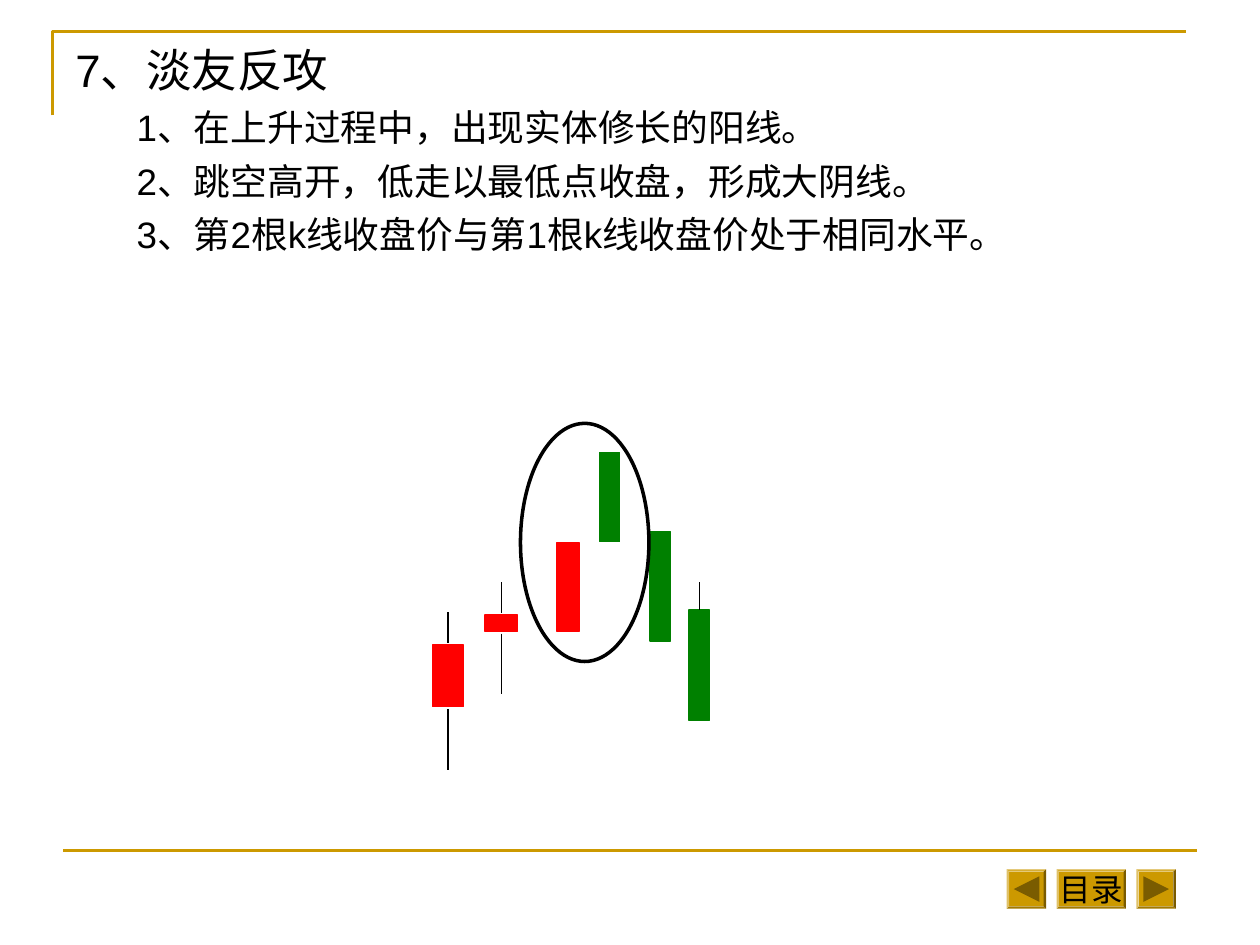
from pptx import Presentation
from pptx.dml.color import RGBColor
from pptx.enum.shapes import MSO_CONNECTOR, MSO_SHAPE as Shape
from pptx.enum.text import MSO_ANCHOR as Anchor, PP_ALIGN as Align
from pptx.oxml.ns import qn
from pptx.util import Pt

COLORS = {"gold": "CC9900", "dark_gold": "7A5C00", "black": "000000",
          "red": "FF0000", "green": "008000"}
FONT = "Arial"
TITLE = "7、淡友反攻"
ITEMS = ["1、在上升过程中，出现实体修长的阳线。",
         "2、跳空高开，低走以最低点收盘，形成大阴线。",
         "3、第2根k线收盘价与第1根k线收盘价处于相同水平。"]
WICK_GAP = 1.3
# left, top, width, height of the body, colour, high, low
CANDLES = [
    (247, 368.6, 18, 35.3, "red", 349.9, 439.9),
    (277.2, 351.4, 18.7, 9.4, "red", 332.6, 396.7),
    (318.2, 310.3, 13, 50.4, "red", None, None),
    (342.7, 258.5, 11.5, 51.1, "green", None, None),
    (371.5, 303.8, 11.5, 62.6, "green", None, None),
    (393.8, 348.5, 11.5, 63.4, "green", 332.6, None),
]
BUTTON_TOP, BUTTON_SIZE, BUTTON_GAP = 496.8, 22.5, 6
# width, label, rotation of the arrow
BUTTONS = [(BUTTON_SIZE, None, -90), (39.6, "目录", None), (BUTTON_SIZE, None, 90)]
ARROW_SIZE = 14.6


def rgb(name):
    return RGBColor.from_string(COLORS[name])


def style_line(line, color, width):
    line.color.rgb = rgb(color)
    line.width = Pt(width)


def add_shape(slide, kind, left, top, width, height, fill=None, line=None, line_width=0.75):
    shape = slide.shapes.add_shape(kind, Pt(left), Pt(top), Pt(width), Pt(height))
    shape.shadow.inherit = False
    if fill:
        shape.fill.solid()
        shape.fill.fore_color.rgb = rgb(fill)
    else:
        shape.fill.background()
    if line:
        style_line(shape.line, line, line_width)
    else:
        shape.line.fill.background()
    return shape


def add_line(slide, x1, y1, x2, y2, color, width):
    line = slide.shapes.add_connector(MSO_CONNECTOR.STRAIGHT, Pt(x1), Pt(y1), Pt(x2), Pt(y2))
    style_line(line.line, color, width)
    properties = line._element.spPr
    properties.append(properties.makeelement(qn("a:effectLst"), {}))
    return line


def add_frame(slide):
    """Gold corner at the top and gold rule at the bottom."""
    builder = slide.shapes.build_freeform(Pt(30), Pt(66))
    builder.add_line_segments([(Pt(30), Pt(18)), (Pt(678), Pt(18))], close=False)
    corner = builder.convert_to_shape()
    corner.shadow.inherit = False
    corner.fill.background()
    style_line(corner.line, "gold", 1.5)
    add_line(slide, 36, 486, 684, 486, "gold", 1.5)


def add_run(paragraph, text, size):
    run = paragraph.add_run()
    run.text = text
    values = {"name": FONT, "size": Pt(size)}
    for name, value in values.items():
        setattr(run.font, name, value)
    run.font.color.rgb = rgb("black")


def add_text(slide):
    frame = slide.shapes.add_textbox(Pt(36), Pt(20.2), Pt(648), Pt(462)).text_frame
    frame.word_wrap = True
    add_run(frame.paragraphs[0], TITLE, 26)
    for item in ITEMS:
        paragraph = frame.add_paragraph()
        paragraph.space_before = Pt(5.2)
        paragraph._p.get_or_add_pPr().set("marL", str(Pt(35)))
        add_run(paragraph, item, 21)


def add_candle(slide, left, top, width, height, color, high, low):
    body = add_shape(slide, Shape.RECTANGLE, left, top, width, height, color, color)
    middle = left + width / 2
    gap = WICK_GAP if color == "red" else 0
    if high:
        wick = add_line(slide, middle, high, middle, top - gap, "black", 0.75)
        if not gap:
            wick.end_connect(body, 0)
    if low:
        add_line(slide, middle, top + height + gap, middle, low, "black", 0.75)


def add_button(slide, left, width, label, rotation):
    button = add_shape(slide, Shape.BEVEL, left, BUTTON_TOP, width, BUTTON_SIZE, "gold")
    button.adjustments[0] = 0.06
    if label:
        frame = button.text_frame
        values = {"margin_left": 0, "margin_right": 0, "margin_top": 0, "margin_bottom": 0,
                  "word_wrap": False, "vertical_anchor": Anchor.MIDDLE}
        for name, value in values.items():
            setattr(frame, name, value)
        frame.paragraphs[0].alignment = Align.CENTER
        add_run(frame.paragraphs[0], label, 18)
    else:
        inset = (BUTTON_SIZE - ARROW_SIZE) / 2
        arrow = add_shape(slide, Shape.ISOSCELES_TRIANGLE, left + inset, BUTTON_TOP + inset,
                          ARROW_SIZE, ARROW_SIZE, "dark_gold")
        arrow.rotation = rotation


def main():
    presentation = Presentation()
    presentation.slide_width, presentation.slide_height = Pt(720), Pt(540)
    slide = presentation.slides.add_slide(presentation.slide_layouts[6])
    add_frame(slide)
    left = 575.3
    for width, label, rotation in BUTTONS:
        add_button(slide, left, width, label, rotation)
        left += width + BUTTON_GAP
    add_text(slide)
    for candle in CANDLES:
        add_candle(slide, *candle)
    add_shape(slide, Shape.OVAL, 297.4, 241.9, 73.4, 136.1, line="black", line_width=2)
    presentation.save("out.pptx")


if __name__ == "__main__":
    main()
